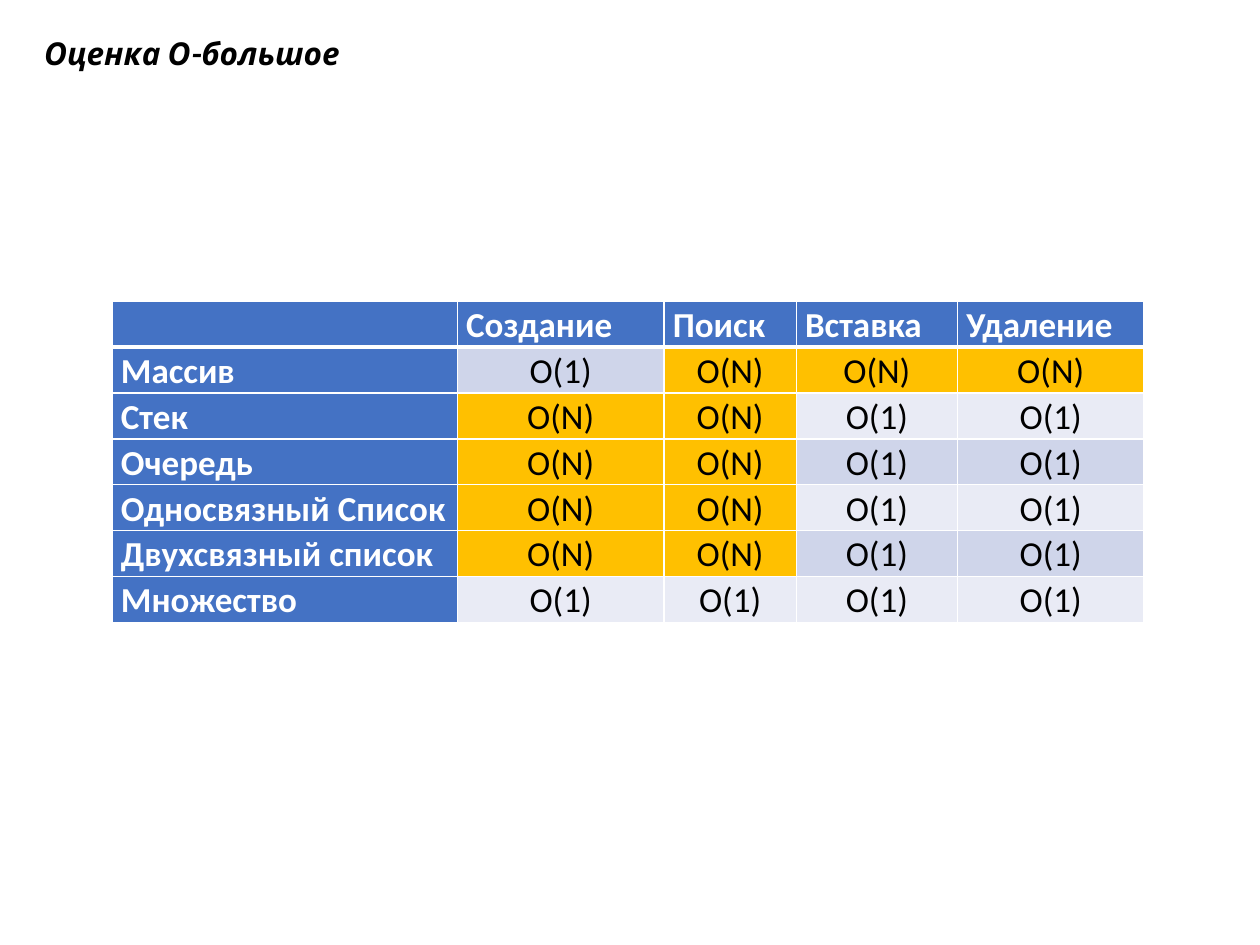
import pptx
import pptx.util
import pptx.dml.color
import pptx.enum.text
import pptx.oxml
import pptx.oxml.ns

THEME = {
    "header": "4472C4", "slow": "FFC000", "bands": ("E9EBF5", "CFD5EA"),
    "light": "FFFFFF", "dark": "000000",
    "title_font": "Karla", "table_font": "Calibri",
    "title_size": 18, "table_size": 20,
}


def style_run(run, font, size, color, bold, italic=False):
    run.font.name = font
    run.font.size = pptx.util.Pt(size)
    run.font.bold = bold
    run.font.italic = italic
    run.font.color.rgb = pptx.dml.color.RGBColor.from_string(color)


def add_borders(cell, widths):
    properties = cell._tc.get_or_add_tcPr()
    # Border lines must come before the fill
    for position, (side, points) in enumerate(widths.items()):
        properties.insert(position, pptx.oxml.parse_xml(
            f'<a:{side} {pptx.oxml.ns.nsdecls("a")} w="{pptx.util.Pt(points)}">'
            f'<a:solidFill><a:srgbClr val="{THEME["light"]}"/></a:solidFill></a:{side}>'))


# Slide
deck = pptx.Presentation()
deck.slide_width = pptx.util.Inches(10)
deck.slide_height = pptx.util.Inches(7.5)
slide = deck.slides.add_slide(deck.slide_layouts[5])

# Title
title = slide.shapes.title
title.left, title.top = pptx.util.Inches(0.25), pptx.util.Inches(0.22)
title.width, title.height = pptx.util.Inches(6.34), pptx.util.Inches(0.4)
title.text_frame.text = "Оценка О-большое"
title.text_frame.vertical_anchor = pptx.enum.text.MSO_ANCHOR.TOP
title.text_frame.auto_size = pptx.enum.text.MSO_AUTO_SIZE.NONE
title_line = title.text_frame.paragraphs[0]
title_line.alignment = pptx.enum.text.PP_ALIGN.LEFT
style_run(title_line.runs[0], THEME["title_font"], THEME["title_size"],
          THEME["dark"], True, True)

# Complexity of each operation by data structure
complexities = [
    ("", "Создание", "Поиск", "Вставка", "Удаление"),
    ("Массив", "O(1)", "O(N)", "O(N)", "O(N)"),
    ("Стек", "O(N)", "O(N)", "O(1)", "O(1)"),
    ("Очередь", "O(N)", "O(N)", "O(1)", "O(1)"),
    ("Односвязный Список", "O(N)", "O(N)", "O(1)", "O(1)"),
    ("Двухсвязный список", "O(N)", "O(N)", "O(1)", "O(1)"),
    ("Множество", "O(1)", "O(1)", "O(1)", "O(1)"),
]
column_widths = [2.74, 1.64, 1.05, 1.28, 1.48]
table_height = 2.39

# Table grid
table = slide.shapes.add_table(
    len(complexities), len(column_widths),
    pptx.util.Inches(0.89), pptx.util.Inches(2.39),
    pptx.util.Inches(sum(column_widths)), pptx.util.Inches(table_height)).table
for column, width in zip(table.columns, column_widths):
    column.width = pptx.util.Inches(width)

# Table cells
for row, entries in enumerate(complexities):
    for col, entry in enumerate(entries):
        cell = table.cell(row, col)
        is_header = row == 0 or col == 0
        if is_header:
            fill = THEME["header"]
        elif entry == "O(N)":
            fill = THEME["slow"]
        else:
            fill = THEME["bands"][row % 2]
        cell.fill.solid()
        cell.fill.fore_color.rgb = pptx.dml.color.RGBColor.from_string(fill)
        cell.margin_left = cell.margin_right = pptx.util.Inches(0.07)
        cell.margin_top = cell.margin_bottom = 0
        add_borders(cell, {"lnL": 1, "lnR": 1, "lnT": 3 if row == 1 else 1,
                           "lnB": 3 if row == 0 else 1})

        cell.text_frame.text = entry
        line = cell.text_frame.paragraphs[0]
        line.line_spacing = 1.07
        if not is_header:
            line.alignment = pptx.enum.text.PP_ALIGN.CENTER
        for run in line.runs:
            style_run(run, THEME["table_font"], THEME["table_size"],
                      THEME["light"] if is_header else THEME["dark"], is_header)

deck.save("out.pptx")
